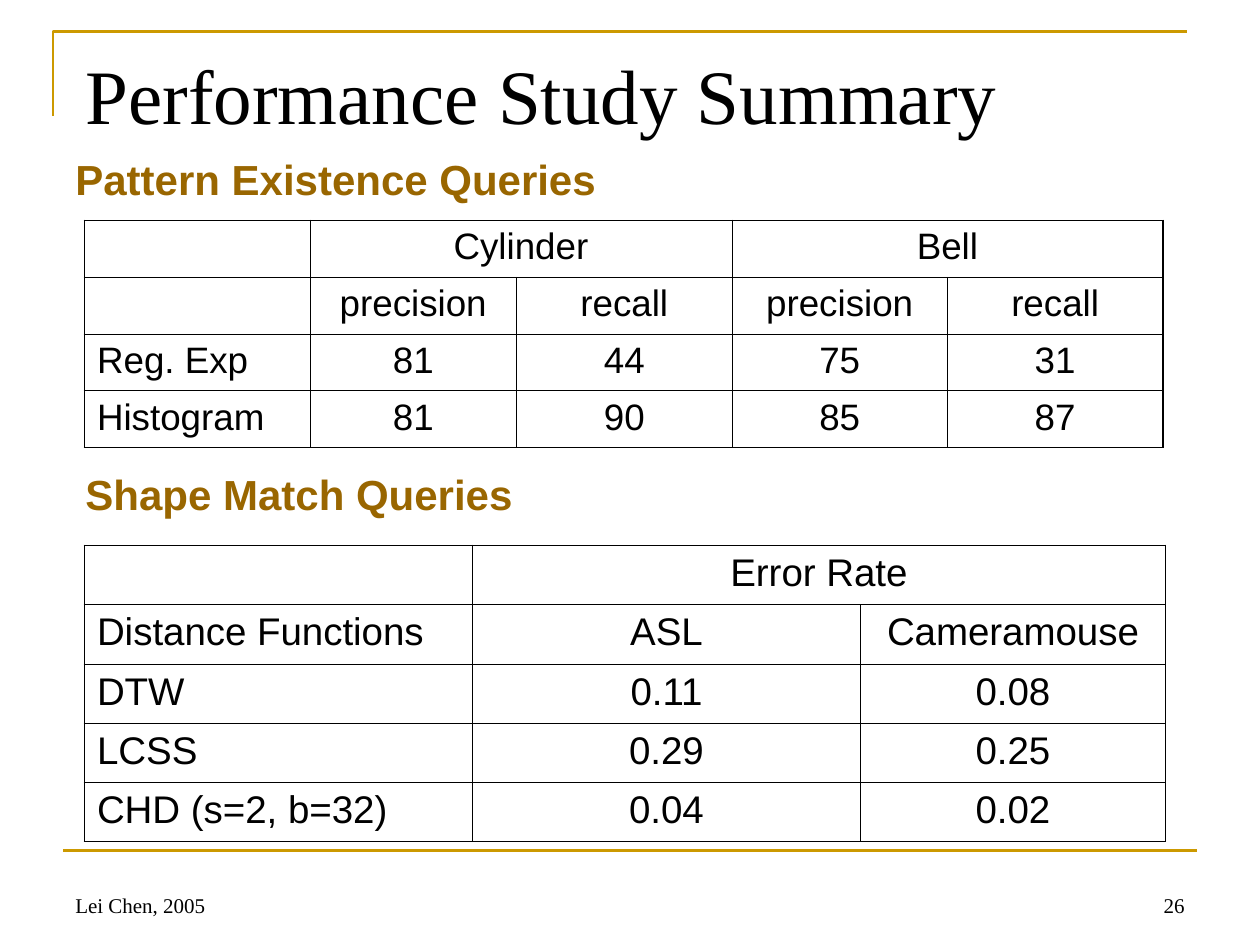
"""Build the performance study summary slide with its two result tables."""
from dataclasses import dataclass

import lxml.etree
import pptx
import pptx.dml.color
import pptx.enum.text
import pptx.oxml.ns
import pptx.util

Inches = pptx.util.Inches
Pt = pptx.util.Pt
ALIGN = pptx.enum.text.PP_ALIGN
ANCHOR = pptx.enum.text.MSO_ANCHOR
qn = pptx.oxml.ns.qn


@dataclass(frozen=True)
class Theme:
    ink: str = "000000"
    rule: str = "CC9900"
    heading: str = "996600"
    serif: str = "Times New Roman"
    sans: str = "Arial"
    title_size: int = 44
    heading_size: int = 24
    footer_size: int = 12
    rule_width: float = 1.5
    outer: float = 1.08
    inner: float = 0.45


def rgb(value):
    return pptx.dml.color.RGBColor.from_string(value)


def write(tf, text, font, size, color, bold=False, align=ALIGN.LEFT):
    p = tf.paragraphs[0]
    p.alignment = align
    r = p.add_run()
    r.text = text
    r.font.name = font
    r.font.size = Pt(size)
    r.font.bold = bold
    r.font.color.rgb = rgb(color)


class Deck:
    def __init__(self, theme):
        self.theme = theme
        self.prs = pptx.Presentation()
        self.prs.slide_width, self.prs.slide_height = Inches(10), Inches(7.5)
        self.s = self.prs.slides.add_slide(self.prs.slide_layouts[5])

    def title(self, text, left, top, width, height):
        sp = self.s.shapes.title
        sp.left, sp.top, sp.width, sp.height = map(Inches, (left, top, width, height))
        tf = sp.text_frame
        tf.word_wrap = True
        tf.auto_size = pptx.enum.text.MSO_AUTO_SIZE.NONE
        tf.vertical_anchor = ANCHOR.TOP
        write(tf, text, self.theme.serif, self.theme.title_size, self.theme.ink)

    def text(self, text, left, top, width, height, anchor=ANCHOR.TOP, **style):
        sp = self.s.shapes.add_textbox(*map(Inches, (left, top, width, height)))
        tf = sp.text_frame
        tf.word_wrap = True
        tf.vertical_anchor = anchor
        write(tf, text, **style)

    def heading(self, text, left, top):
        t = self.theme
        self.text(text, left, top, 6.83, 0.5, font=t.sans,
                  size=t.heading_size, color=t.heading, bold=True)

    def footer(self, text, left, width, align):
        t = self.theme
        self.text(text, left, 6.83, width, 0.5, anchor=ANCHOR.BOTTOM, font=t.serif,
                  size=t.footer_size, color=t.ink, align=align)

    def stroke(self, sp):
        sp.line.color.rgb = rgb(self.theme.rule)
        sp.line.width = Pt(self.theme.rule_width)

    def corner(self, start, *points):
        builder = self.s.shapes.build_freeform(*map(Inches, start))
        builder.add_line_segments([tuple(map(Inches, xy)) for xy in points], close=False)
        sp = builder.convert_to_shape()
        sp.shadow.inherit = False
        sp.fill.background()
        self.stroke(sp)

    def line(self, *ends):
        sp = self.s.shapes.add_connector(
            pptx.enum.shapes.MSO_CONNECTOR.STRAIGHT, *map(Inches, ends))
        self.stroke(sp)
        lxml.etree.SubElement(sp._element.spPr, qn("a:effectLst"))

    def borders(self, cell, widths):
        tc_pr = cell._tc.get_or_add_tcPr()
        for i, (side, width) in enumerate(widths.items()):
            ln = lxml.etree.Element(qn(f"a:ln{side}"), w=str(Pt(width)))
            fill = lxml.etree.SubElement(ln, qn("a:solidFill"))
            lxml.etree.SubElement(fill, qn("a:srgbClr"), val=self.theme.ink)
            tc_pr.insert(i, ln)

    def table(self, rows, left, top, col_widths, row_height, size, bottom, merges):
        t = self.theme
        n_rows, n_cols = len(rows), len(col_widths)
        frame = self.s.shapes.add_table(
            n_rows, n_cols, Inches(left), Inches(top),
            Inches(sum(col_widths)), Inches(row_height * n_rows))
        table = frame.table
        table.first_row = table.horz_banding = False
        for column, width in zip(table.columns, col_widths):
            column.width = Inches(width)
        for row in table.rows:
            row.height = Inches(row_height)
        for first, last in merges:
            table.cell(0, first).merge(table.cell(0, last))
        for i, row in enumerate(rows):
            for j, text in enumerate(row):
                cell = table.cell(i, j)
                span = cell.span_width if cell.is_merge_origin else 1
                cell.fill.background()
                self.borders(cell, {
                    "L": t.outer if j == 0 else t.inner,
                    "R": t.outer if j + span == n_cols else t.inner,
                    "T": t.outer if i == 0 else t.inner,
                    "B": bottom if i == n_rows - 1 else t.inner,
                })
                if text:
                    write(cell.text_frame, text, t.sans, size, t.ink,
                          align=ALIGN.CENTER if j else ALIGN.LEFT)


def main():
    theme = Theme()
    deck = Deck(theme)
    deck.corner((0.42, 0.92), (0.42, 0.25), (9.42, 0.25))
    deck.line(0.5, 6.75, 9.5, 6.75)
    deck.title("Performance Study Summary", 0.58, 0.33, 9, 1.25)

    deck.heading("Pattern Existence Queries", 0.5, 1.17)
    deck.table(
        [["", "Cylinder", "", "Bell", ""],
         ["", "precision", "recall", "precision", "recall"],
         ["Reg. Exp", "81", "44", "75", "31"],
         ["Histogram", "81", "90", "85", "87"]],
        0.67, 1.75, [1.79, 1.64, 1.71, 1.71, 1.71], 0.45,
        size=21, bottom=theme.inner, merges=[(1, 2), (3, 4)])

    deck.heading("Shape Match Queries", 0.58, 3.67)
    deck.table(
        [["", "Error Rate", ""],
         ["Distance Functions", "ASL", "Cameramouse"],
         ["DTW", "0.11", "0.08"],
         ["LCSS", "0.29", "0.25"],
         ["CHD (s=2, b=32)", "0.04", "0.02"]],
        0.67, 4.33, [3.08, 3.08, 2.42], 0.47,
        size=22, bottom=theme.outer, merges=[(1, 2)])

    deck.footer("Lei Chen, 2005", 0.5, 3.17, ALIGN.LEFT)
    deck.footer("26", 7.17, 2.33, ALIGN.RIGHT)
    deck.prs.save("out.pptx")


if __name__ == "__main__":
    main()
